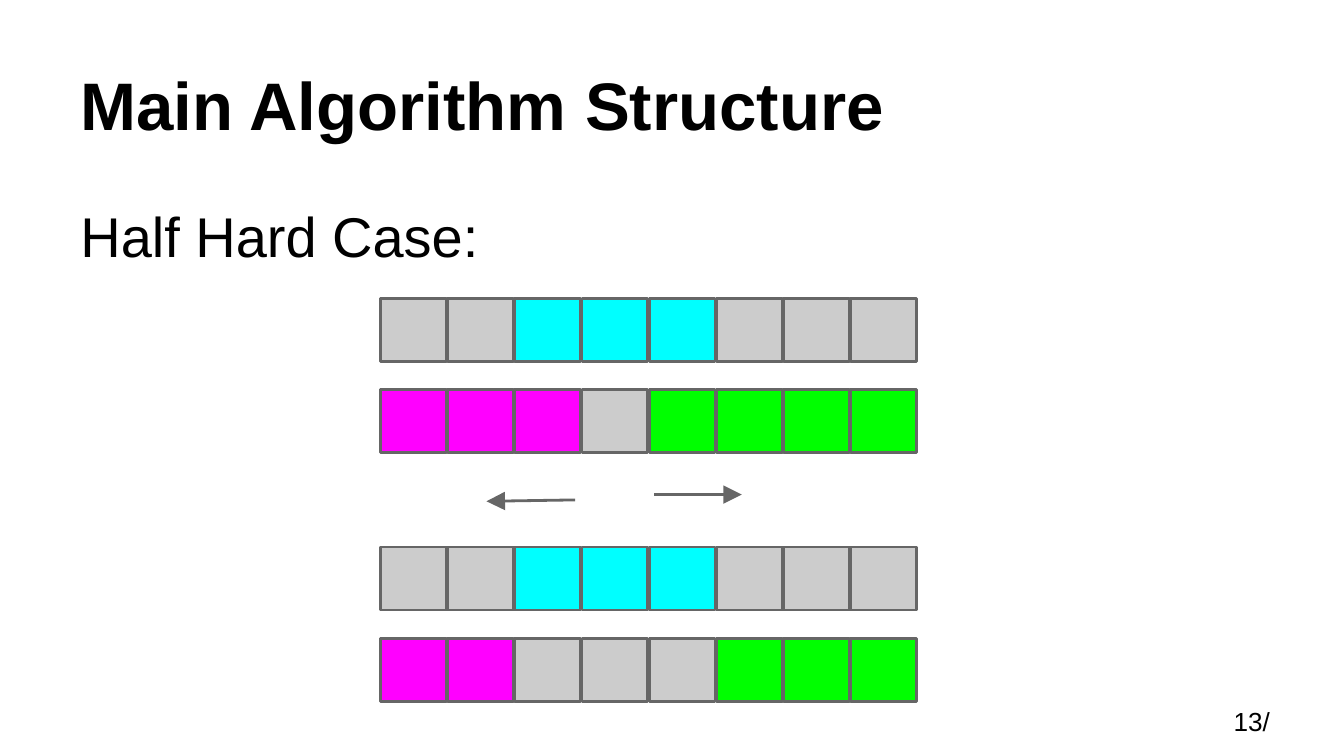
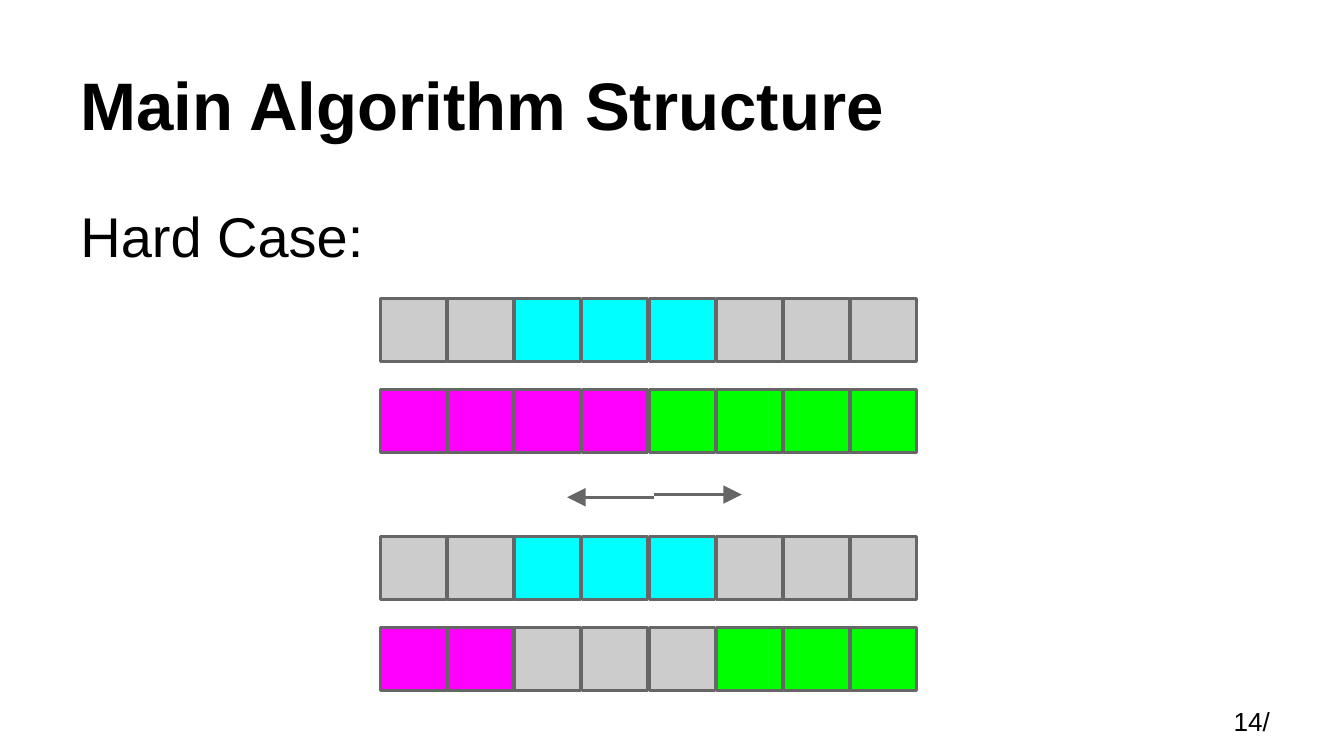
from dataclasses import dataclass

from lxml import etree
from pptx import Presentation
from pptx.dml.color import RGBColor
from pptx.enum.shapes import MSO_CONNECTOR, MSO_SHAPE
from pptx.enum.text import MSO_ANCHOR
from pptx.oxml.ns import qn
from pptx.util import Inches, Pt

RECTANGLE = MSO_SHAPE.RECTANGLE
STRAIGHT = MSO_CONNECTOR.STRAIGHT
TOP, BOTTOM = MSO_ANCHOR.TOP, MSO_ANCHOR.BOTTOM


@dataclass(frozen=True)
class Theme:
    font: str = "Arial"
    text: RGBColor = RGBColor(0x00, 0x00, 0x00)
    outline: RGBColor = RGBColor(0x66, 0x66, 0x66)
    empty: RGBColor = RGBColor(0xCC, 0xCC, 0xCC)
    middle: RGBColor = RGBColor(0x00, 0xFF, 0xFF)
    left: RGBColor = RGBColor(0xFF, 0x00, 0xFF)
    right: RGBColor = RGBColor(0x00, 0xFF, 0x00)
    title_size: int = 36
    body_size: int = 30
    page_size: int = 14
    line_width: float = 1.5


theme = Theme()

# Slide in 16:9
SLIDE_WIDTH = 10
SLIDE_HEIGHT = SLIDE_WIDTH * 9 / 16

# Cell grid: one letter per cell in a row
CELL_FILLS = {"-": theme.empty, "M": theme.middle, "L": theme.left, "R": theme.right}
GRID_LEFT, CELL_PITCH = 2.83, 0.5
CELL_WIDTH, CELL_HEIGHT = 0.49, 0.47
ROW_PITCH = 0.68
BEFORE_TOP = 2.22
MIDDLE_ROW = "--MMM---"
AFTER_ROW = "LL---RRR"
RIGHT_ARROW = (4.87, 3.68, 5.52, 3.68)

# What differs between the slides
CASES = [
    {"heading": "Half Hard Case:", "page": "13/", "before_row": "LLL-RRRR",
     "after_top": 4.07, "left_arrow": (4.28, 3.72, 3.62, 3.73)},
    {"heading": "Hard Case:", "page": "14/", "before_row": "LLLLRRRR",
     "after_top": 3.99, "left_arrow": (4.87, 3.7, 4.22, 3.7)},
]


def add_text(slide, text, box, size, bold=False, anchor=TOP):
    shape = slide.shapes.add_textbox(*[Inches(length) for length in box])
    frame = shape.text_frame
    frame.word_wrap = True
    frame.vertical_anchor = anchor
    frame.margin_left = frame.margin_right = Inches(0.1)
    frame.margin_top = frame.margin_bottom = Inches(0.1)
    paragraph = frame.paragraphs[0]
    paragraph.text = text
    paragraph.font.name = theme.font
    paragraph.font.size = Pt(size)
    paragraph.font.bold = bold
    paragraph.font.color.rgb = theme.text


def style_line(line):
    line.color.rgb = theme.outline
    line.width = Pt(theme.line_width)


presentation = Presentation()
presentation.slide_width = Inches(SLIDE_WIDTH)
presentation.slide_height = Inches(SLIDE_HEIGHT)
blank_layout = presentation.slide_layouts[6]

for case in CASES:
    slide = presentation.slides.add_slide(blank_layout)

    # Title, heading and page number
    add_text(slide, "Main Algorithm Structure", (0.5, 0.23, 9, 0.94),
             theme.title_size, bold=True, anchor=BOTTOM)
    add_text(slide, case["heading"], (0.5, 1.4, 9, 0.86), theme.body_size)
    add_text(slide, case["page"], (9.08, 5.15, 0.91, 0.47), theme.page_size)

    # Pairs of cell rows before and after the step
    rows = [
        (BEFORE_TOP + ROW_PITCH, case["before_row"]),
        (BEFORE_TOP, MIDDLE_ROW),
        (case["after_top"] + ROW_PITCH, AFTER_ROW),
        (case["after_top"], MIDDLE_ROW),
    ]
    for top, cells in rows:
        for column, kind in enumerate(cells):
            cell = slide.shapes.add_shape(
                RECTANGLE, Inches(GRID_LEFT + column * CELL_PITCH), Inches(top),
                Inches(CELL_WIDTH), Inches(CELL_HEIGHT))
            cell.shadow.inherit = False
            cell.fill.solid()
            cell.fill.fore_color.rgb = CELL_FILLS[kind]
            style_line(cell.line)

    # Arrows pointing outwards
    for ends in (RIGHT_ARROW, case["left_arrow"]):
        arrow = slide.shapes.add_connector(STRAIGHT, *[Inches(length) for length in ends])
        style_line(arrow.line)
        properties = arrow._element.spPr
        line_element = properties.find(qn("a:ln"))
        etree.SubElement(line_element, qn("a:tailEnd"), type="triangle", w="lg", len="lg")
        etree.SubElement(properties, qn("a:effectLst"))

presentation.save("out.pptx")
